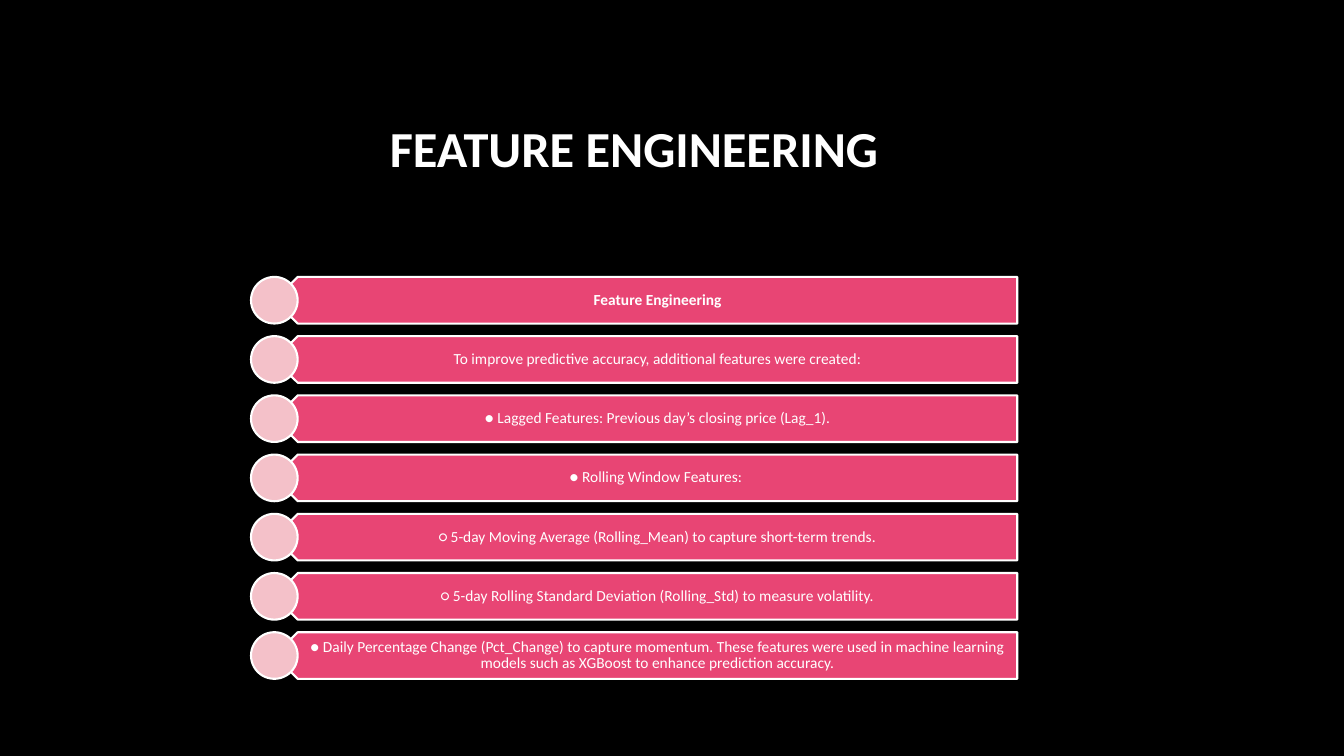
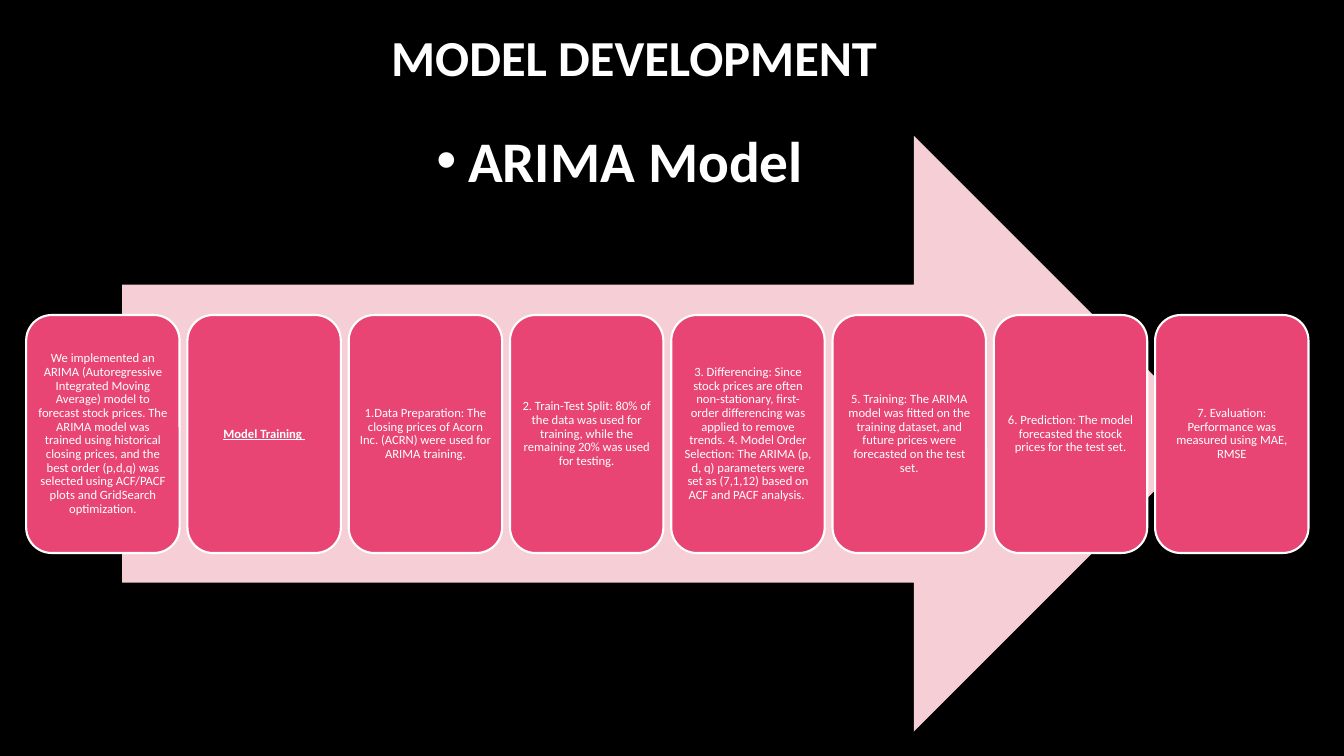
from pptx import Presentation, util as u
from pptx.dml.color import RGBColor
from pptx.enum import shapes, text

Pt = u.Pt
FONT = "Calibri"
COLORS = {
    "background": "000000",
    "text": "FFFFFF",
    "accent": "E84574",
    "circle": "F4C1C9",
    "arrow": "F6CFD6",
}
TITLE_ONLY, TITLE_AND_BODY = 5, 1

FEATURES = [
    "Feature Engineering",
    "To improve predictive accuracy, additional features were created:",
    "● Lagged Features: Previous day’s closing price (Lag_1).",
    "● Rolling Window Features: ",
    "○ 5-day Moving Average (Rolling_Mean) to capture short-term trends.",
    "○ 5-day Rolling Standard Deviation (Rolling_Std) to measure volatility.",
    "● Daily Percentage Change (Pct_Change) to capture momentum. These features "
    "were used in machine learning models such as XGBoost to enhance prediction accuracy.",
]
STEPS = [
    "We implemented an ARIMA (Autoregressive Integrated Moving Average) model to "
    "forecast stock prices. The ARIMA model was trained using historical closing "
    "prices, and the best order (p,d,q) was selected using ACF/PACF plots and "
    "GridSearch optimization.",
    "Model Training ",
    "1.Data Preparation: The closing prices of Acorn Inc. (ACRN) were used for "
    "ARIMA training.",
    "2. Train-Test Split: 80% of the data was used for training, while the "
    "remaining 20% was used for testing.",
    "3. Differencing: Since stock prices are often non-stationary, first-order "
    "differencing was applied to remove trends. 4. Model Order Selection: The "
    "ARIMA (p, d, q) parameters were set as (7,1,12) based on ACF and PACF analysis. ",
    "5. Training: The ARIMA model was fitted on the training dataset, and future "
    "prices were forecasted on the test set.",
    "6. Prediction: The model forecasted the stock prices for the test set.",
    "7. Evaluation: Performance was measured using MAE, RMSE",
]


def color(name):
    return RGBColor.from_string(COLORS[name])


def place(shape, left, top, width, height):
    shape.left, shape.top = Pt(left), Pt(top)
    shape.width, shape.height = Pt(width), Pt(height)


def write(shape, content, size, bold=False, underline=None, spacing=None, insets=None):
    """Put one centred white paragraph in a shape and return it."""
    frame = shape.text_frame
    frame.word_wrap = True
    frame.auto_size = text.MSO_AUTO_SIZE.NONE
    frame.vertical_anchor = text.MSO_ANCHOR.MIDDLE
    if insets:
        (frame.margin_left, frame.margin_top,
         frame.margin_right, frame.margin_bottom) = map(Pt, insets)
    frame.text = content
    paragraph = frame.paragraphs[0]
    paragraph.alignment = text.PP_ALIGN.CENTER
    paragraph.line_spacing = spacing
    font = paragraph.font
    font.name, font.size, font.bold, font.underline = FONT, Pt(size), bold, underline
    font.color.rgb = color("text")
    return paragraph


def add_titled_slide(presentation, layout, title, top):
    slide = presentation.slides.add_slide(presentation.slide_layouts[layout])
    place(slide.shapes.title, 54, top, 798, 114.5)
    write(slide.shapes.title, title, 36, bold=True)
    return slide


def add_filled(slide, preset, box, fill, outlined=True):
    shape = slide.shapes.add_shape(preset, *map(Pt, box))
    shape.shadow.inherit = False
    shape.fill.solid()
    shape.fill.fore_color.rgb = color(fill)
    if outlined:
        shape.line.color.rgb = color("text")
        shape.line.width = Pt(1.5)
    else:
        shape.line.fill.background()
    return shape


def add_feature_row(slide, top, content, bold):
    height = 33.3
    plate = add_filled(slide, shapes.MSO_SHAPE.PENTAGON, (196, top, 530.6, height), "accent")
    plate.rotation = 180
    label = slide.shapes.add_textbox(Pt(204.4), Pt(top), Pt(522.2), Pt(height))
    write(label, content, 11, bold=bold, spacing=0.9, insets=(14.7, 3.3, 6.2, 3.3))
    add_filled(slide, shapes.MSO_SHAPE.OVAL, (179.3, top, height, height), "circle")


def add_step_card(slide, left, content, heading):
    card = add_filled(slide, shapes.MSO_SHAPE.ROUNDED_RECTANGLE,
                      (left, 225, 109.6, 170), "accent")
    write(card, content, 9, bold=heading, underline=heading or None,
          spacing=0.9, insets=(2.7,) * 4)


def add_model_bullet(slide):
    body = slide.placeholders[1]
    place(body, 25.2, 80, 844.6, 68)
    paragraph = write(body, "ARIMA Model ", 41, bold=True)
    paragraph.space_before = Pt(0)
    # Hanging indent of the bullet
    properties = paragraph._p.get_or_add_pPr()
    properties.set("marL", str(Pt(22.5)))
    properties.set("indent", str(Pt(-22.5)))


def main():
    presentation = Presentation()
    presentation.slide_width, presentation.slide_height = Pt(960), Pt(540)

    # Shared background
    background = presentation.slide_master.background.fill
    background.solid()
    background.fore_color.rgb = color("background")

    # Feature engineering: stacked rows
    slide = add_titled_slide(presentation, TITLE_ONLY, "FEATURE ENGINEERING", 48.2)
    for index, content in enumerate(FEATURES):
        add_feature_row(slide, 197.8 + index * 42.3, content, bold=index == 0)

    # Model development: steps along an arrow
    slide = add_titled_slide(presentation, TITLE_AND_BODY, "MODEL DEVELOPMENT", -17)
    add_model_bullet(slide)
    add_filled(slide, shapes.MSO_SHAPE.RIGHT_ARROW, (87.3, 97, 778.3, 425.5),
               "arrow", outlined=False)
    for index, content in enumerate(STEPS):
        add_step_card(slide, 18.7 + index * 115.2, content, heading=index == 1)

    presentation.save("out.pptx")


if __name__ == "__main__":
    main()
